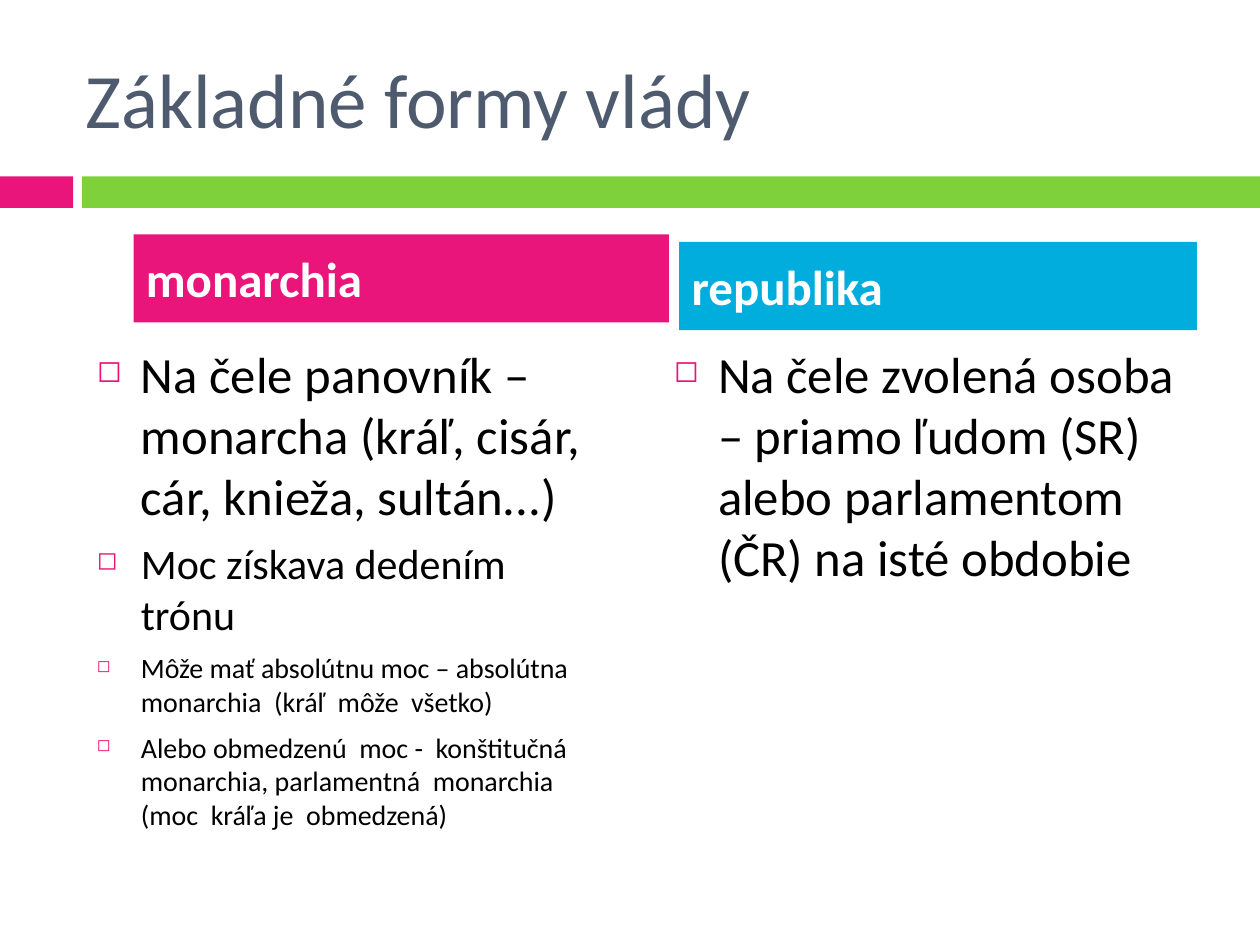
from dataclasses import dataclass
from lxml.etree import SubElement
from pptx import Presentation
from pptx.dml.color import RGBColor
from pptx.enum.shapes import MSO_SHAPE
from pptx.enum.text import MSO_ANCHOR, PP_ALIGN
from pptx.oxml.ns import qn
from pptx.util import Inches, Pt


@dataclass(frozen=True)
class Theme:
    font: str = "Calibri"
    pink: str = "EA157A"
    green: str = "7FD13B"
    blue: str = "00ADDC"
    slate: str = "4E5B6F"
    black: str = "000000"
    white: str = "FFFFFF"
    title: int = 44
    head: int = 28
    large: int = 29
    mid: int = 24
    small: int = 16
    gap: int = 7


class Deck:
    """Draws on a grid of 100 columns and 75 rows."""

    def __init__(self, theme):
        self.theme = theme
        self.prs = Presentation()
        self.prs.slide_width, self.prs.slide_height = Inches(10), Inches(7.5)
        self.slide = self.prs.slides.add_slide(self.prs.slide_layouts[5])

    def cells(self, x, y, w, h):
        col, row = self.prs.slide_width / 100, self.prs.slide_height / 75
        return [round(n) for n in (x * col, y * row, w * col, h * row)]

    def run(self, para, text, size, color, bold=False):
        para.alignment = PP_ALIGN.LEFT
        run = para.add_run()
        run.text = text
        font = run.font
        font.name, font.size, font.bold = self.theme.font, Pt(size), bold
        font.color.rgb = RGBColor.from_string(color)

    def title(self, text, *box):
        shape = self.slide.shapes.title
        shape.left, shape.top, shape.width, shape.height = self.cells(*box)
        frame = shape.text_frame
        frame.vertical_anchor = MSO_ANCHOR.MIDDLE
        self.run(frame.paragraphs[0], text, self.theme.title, self.theme.slate)

    def bar(self, color, *box):
        shape = self.slide.shapes.add_shape(MSO_SHAPE.RECTANGLE, *self.cells(*box))
        shape.shadow.inherit = False
        shape.fill.solid()
        shape.fill.fore_color.rgb = RGBColor.from_string(color)
        shape.line.fill.background()
        return shape

    def head(self, text, color, *box):
        frame = self.bar(color, *box).text_frame
        frame.word_wrap = True
        frame.vertical_anchor = MSO_ANCHOR.MIDDLE
        self.run(frame.paragraphs[0], text, self.theme.head, self.theme.white, True)

    def bullet(self, para):
        props = para._p.get_or_add_pPr()
        indent = Inches(0.35)
        props.set("marL", str(indent))
        props.set("indent", str(-indent))
        tint = SubElement(props, qn("a:buClr"))
        SubElement(tint, qn("a:srgbClr"), val=self.theme.pink)
        SubElement(props, qn("a:buSzPct"), val="60000")
        SubElement(props, qn("a:buChar"), char="◻")

    def points(self, items, *box):
        frame = self.slide.shapes.add_textbox(*self.cells(*box)).text_frame
        frame.word_wrap = True
        for i, (text, size) in enumerate(items):
            para = frame.add_paragraph() if i else frame.paragraphs[0]
            self.bullet(para)
            para.space_before = Pt(self.theme.gap if i else 0)
            self.run(para, text, size, self.theme.black)


def main():
    theme = Theme()
    deck = Deck(theme)

    # Title and the two-part band below it
    deck.bar(theme.pink, 0, 14, 5.8, 2.5)
    deck.bar(theme.green, 6.5, 14, 93.5, 2.5)
    deck.title("Základné formy vlády", 5.8, 3, 89.2, 9.5)

    # Points of each form
    deck.points([
        ("Na čele panovník – monarcha (kráľ, cisár, cár, knieža, sultán...)", theme.large),
        ("Moc získava dedením trónu", theme.mid),
        ("Môže mať absolútnu moc – absolútna  monarchia  (kráľ  môže  všetko)", theme.small),
        ("Alebo obmedzenú  moc -  konštitučná  monarchia, parlamentná  monarchia  "
         "(moc  kráľa je  obmedzená)", theme.small),
    ], 6.7, 26.7, 42.5, 47.1)
    deck.points([
        ("Na čele zvolená osoba – priamo ľudom (SR) alebo parlamentom (ČR) "
         "na isté obdobie", theme.large),
    ], 52.5, 26.7, 42.5, 39.2)

    # Column headings
    deck.head("monarchia", theme.pink, 10.6, 18.6, 42.5, 7)
    deck.head("republika", theme.blue, 53.9, 19.2, 41.1, 7)

    deck.prs.save("out.pptx")


if __name__ == "__main__":
    main()
